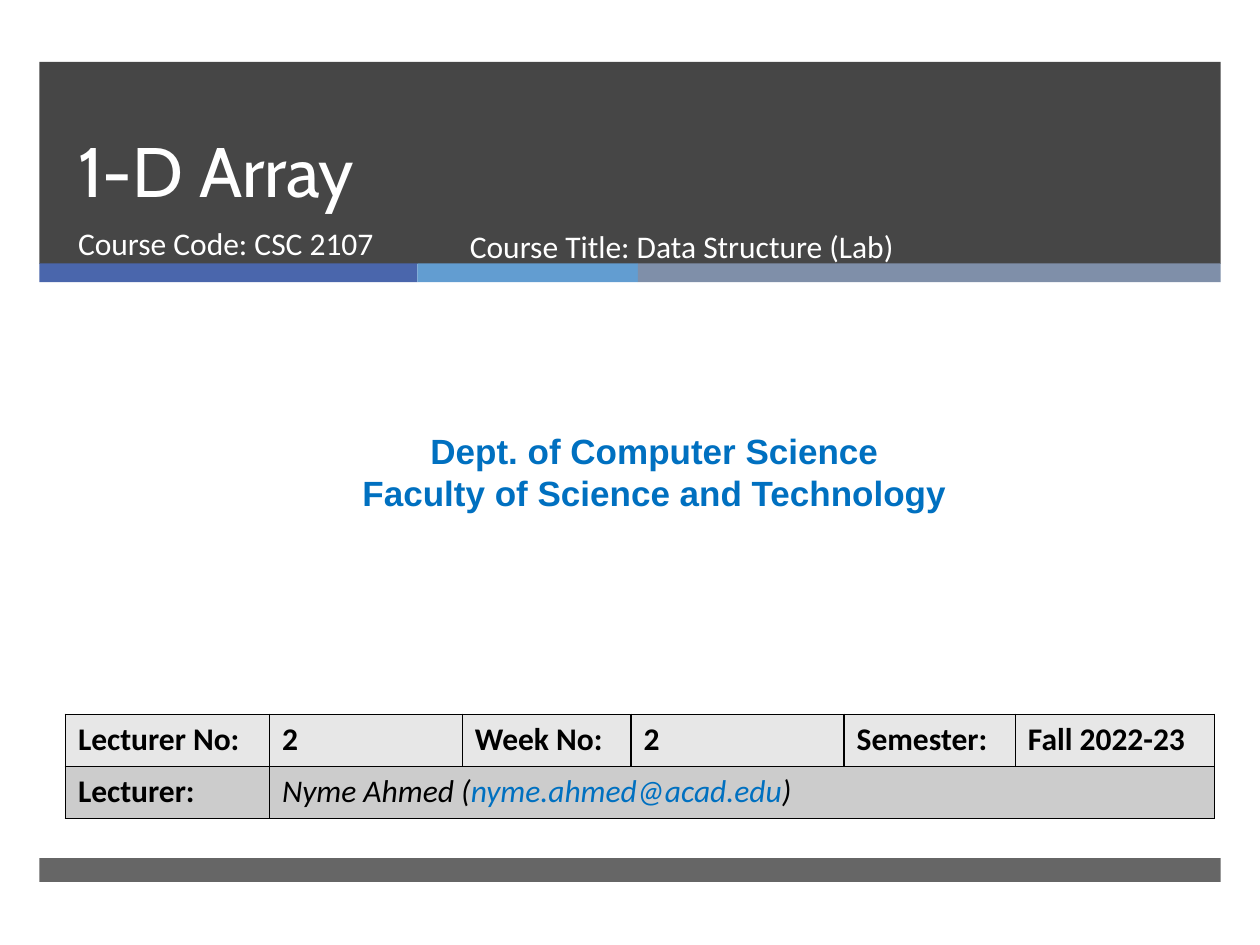
from pptx import Presentation
from pptx.dml.color import RGBColor
from pptx.enum.shapes import MSO_SHAPE
from pptx.enum.text import MSO_ANCHOR, MSO_AUTO_SIZE, PP_ALIGN
from pptx.oxml import parse_xml
from pptx.oxml.ns import nsdecls
from pptx.util import Pt

RECT = MSO_SHAPE.RECTANGLE
TOP, BOTTOM = MSO_ANCHOR.TOP, MSO_ANCHOR.BOTTOM
LEFT, CENTER = PP_ALIGN.LEFT, PP_ALIGN.CENTER
FIXED = MSO_AUTO_SIZE.NONE

WHITE = RGBColor(0xFF, 0xFF, 0xFF)
BLACK = RGBColor(0, 0, 0)
DARK = RGBColor(0x26, 0x26, 0x26)
INDIGO = RGBColor(0x4A, 0x66, 0xAC)
SKY = RGBColor(0x62, 0x9D, 0xD1)
SLATE = RGBColor(0x7F, 0x8F, 0xA9)
BLUE = RGBColor(0x00, 0x70, 0xC0)
LIGHT = RGBColor(0xE7, 0xE7, 0xE7)
GREY = RGBColor(0xCC, 0xCC, 0xCC)

# Content
TITLE = "1-D Array"
CODE = "Course Code: CSC 2107"
COURSE = "Course Title: Data Structure (Lab)"
DEPT = ["Dept. of Computer Science", "Faculty of Science and Technology"]
FACTS = ["Lecturer No:", "2", "Week No:", "2", "Semester:", "Fall 2022-23"]
LABEL = "Lecturer:"
PERSON = [("Nyme Ahmed (", BLACK), ("nyme.ahmed@acad.edu", BLUE), (")", BLACK)]

# Layout in points
EDGE, SPAN = 22.5, 675
BANDS = [(35.3, 115.5, DARK, 85), (490.3, 13.7, DARK, 70)]
STRIPE = [(216, INDIGO), (126, SKY), (333, SLATE)]
COLS = [116.6, 110.2, 96.5, 121.7, 97.9, 113.8]
ROW = 29.8

prs = Presentation()
prs.slide_width, prs.slide_height = Pt(720), Pt(540)
slide = prs.slides.add_slide(prs.slide_layouts[0])
shapes = slide.shapes


def bar(x, y, w, h, color, alpha=100):
    box = shapes.add_shape(RECT, Pt(x), Pt(y), Pt(w), Pt(h))
    box.shadow.inherit = False
    box.fill.solid()
    box.fill.fore_color.rgb = color
    box.line.fill.background()
    if alpha < 100:
        tint = box.element.spPr.find(".//{*}srgbClr")
        tint.append(parse_xml(f'<a:alpha {nsdecls("a")} val="{alpha * 1000}"/>'))


def style(para, face, size, color, bold=False, align=LEFT):
    para.alignment = align
    para.space_before = Pt(0)
    font = para.font
    font.name, font.size, font.bold = face, Pt(size), bold
    font.color.rgb = color


def write(box, place, lines, face, size, color, bold=False, align=LEFT, anchor=TOP):
    box.left, box.top, box.width, box.height = map(Pt, place)
    frame = box.text_frame
    frame.word_wrap, frame.auto_size = True, FIXED
    frame.vertical_anchor = anchor
    frame.text = "\n".join(lines)
    for para in frame.paragraphs:
        style(para, face, size, color, bold, align)


def text_box():
    return shapes.add_textbox(0, 0, 0, 0)


# Header, stripe and footer bars
for y, h, color, alpha in BANDS:
    bar(EDGE, y, SPAN, h, color, alpha)
x = EDGE
for w, color in STRIPE:
    bar(x, 150.5, w, 10.8, color)
    x += w

# Title and subtitle, brought in front of the bars
title, sub = shapes.title, slide.placeholders[1]
for holder in (title, sub):
    holder.element.getparent().append(holder.element)
write(title, (37.4, 38.9, 615, 85.7), [TITLE], "Cabin", 40, WHITE, anchor=BOTTOM)
title.text_frame.paragraphs[0].line_spacing = Pt(46)
write(sub, (37.4, 124.6, 219.6, 38.2), [CODE], "Calibri", 18, WHITE)

# Free text
write(text_box(), (18.7, 241.9, 710.6, 55.4), DEPT, "Arial", 20, BLUE, True, CENTER)
write(text_box(), (261.4, 126, 327.6, 38.2), [COURSE], "Calibri", 18, WHITE)

# Lecture table
table = shapes.add_table(2, len(COLS), Pt(37.4), Pt(408.2),
                         Pt(sum(COLS)), Pt(2 * ROW)).table
for col, w in zip(table.columns, COLS):
    col.width = Pt(w)
for row, fill in zip(table.rows, (LIGHT, GREY)):
    row.height = Pt(ROW)
    for cell in row.cells:
        props = cell._tc.get_or_add_tcPr()
        for side in ("lnL", "lnR", "lnT", "lnB"):
            props.append(parse_xml(
                f'<a:{side} {nsdecls("a")} w="12700"><a:solidFill>'
                f'<a:srgbClr val="{BLACK}"/></a:solidFill></a:{side}>'))
        cell.fill.solid()
        cell.fill.fore_color.rgb = fill

table.cell(1, 1).merge(table.cell(1, len(COLS) - 1))
heads = [(table.cell(0, i), fact) for i, fact in enumerate(FACTS)]
for cell, words in heads + [(table.cell(1, 0), LABEL)]:
    cell.text = words
    style(cell.text_frame.paragraphs[0], "Calibri", 18, BLACK, True)

para = table.cell(1, 1).text_frame.paragraphs[0]
style(para, "Calibri", 18, BLACK)
para.font.italic = True
for words, color in PERSON:
    run = para.add_run()
    run.text = words
    run.font.color.rgb = color

prs.save("out.pptx")
